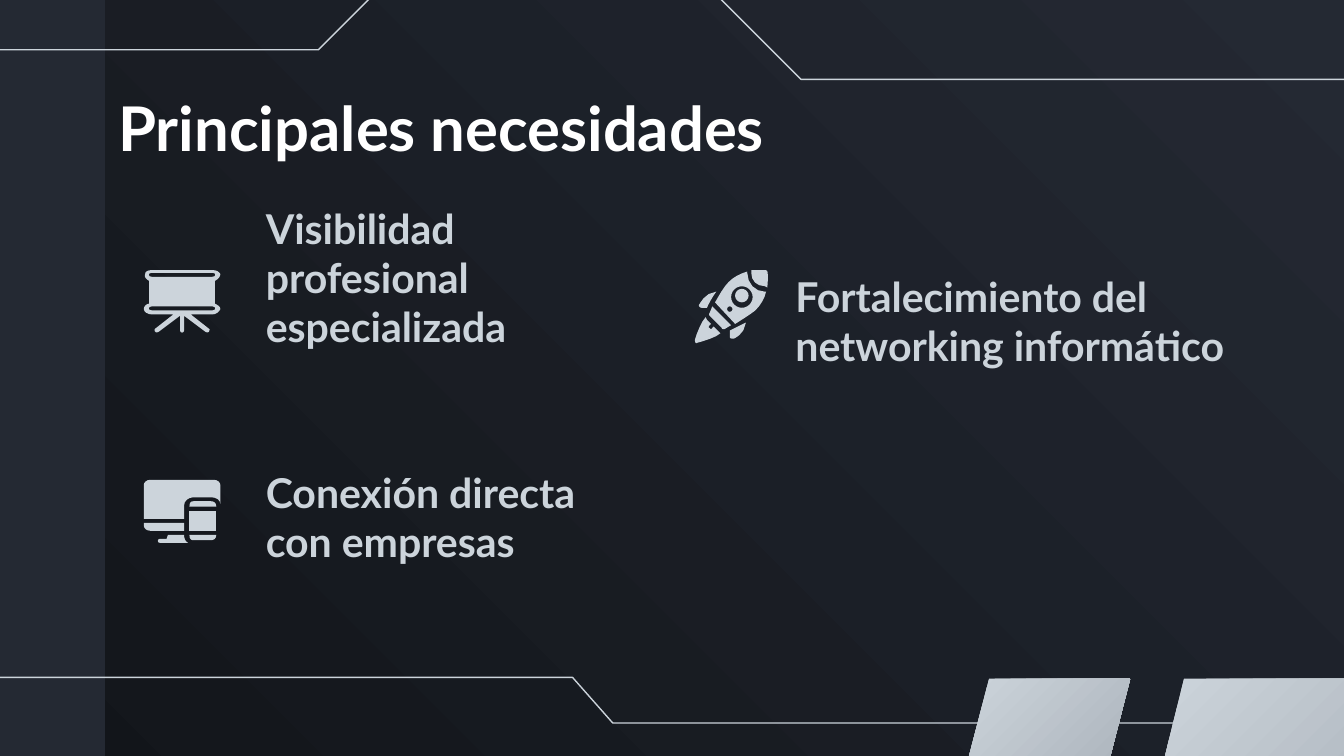
from math import cos, radians, sin

from pptx import Presentation
from pptx.dml.color import RGBColor
from pptx.enum import shapes, text
from pptx.util import Inches, Pt

SILVER, SLATE = "CCD4DB", "242933"


def color(value):
    return RGBColor.from_string(value)


def outline(parent, contours, closed=True):
    """Draw contours of (x, y) points; a six-value entry is a cubic curve."""
    builder = None
    for contour in contours:
        points = []
        for entry in contour:
            if len(entry) == 2:
                points.append(entry)
                continue
            x0, y0 = points[-1]
            x1, y1, x2, y2, x3, y3 = entry
            for t in (0.25, 0.5, 0.75, 1):
                a, b, c, d = (1 - t) ** 3, 3 * t * (1 - t) ** 2, 3 * t * t * (1 - t), t ** 3
                points.append((a * x0 + b * x1 + c * x2 + d * x3,
                               a * y0 + b * y1 + c * y2 + d * y3))
        points = [(Inches(x), Inches(y)) for x, y in points]
        if builder is None:
            builder = parent.build_freeform(*points[0], scale=1.0)
        else:
            builder.move_to(*points[0])
        builder.add_line_segments(points[1:], close=closed)
    shape = builder.convert_to_shape()
    shape.shadow.inherit = False
    if closed:
        shape.fill.solid()
        shape.fill.fore_color.rgb = color(SILVER)
        shape.line.fill.background()
    else:
        shape.fill.background()
        shape.line.color.rgb = color(SILVER)
        shape.line.width = Pt(0.75)
    return shape


# Widescreen slide, 16:9
presentation = Presentation()
presentation.slide_width = Inches(10)
presentation.slide_height = Inches(10) * 9 // 16
slide = presentation.slides.add_slide(presentation.slide_layouts[5])

# Background gradient, dark at the lower left
background = slide.background.fill
background.gradient()
background.gradient_angle = 45
for stop, value in zip(background.gradient_stops, ("12151A", SLATE)):
    stop.color.rgb = color(value)

# Side band
band = slide.shapes.add_shape(
    shapes.MSO_SHAPE.RECTANGLE, 0, 0, Inches(0.78), presentation.slide_height)
band.shadow.inherit = False
band.fill.solid()
band.fill.fore_color.rgb = color(SLATE)
band.line.fill.background()

# Circuit lines along the top and bottom
for points in (
    [(-0.04, 0.37), (2.37, 0.37), (2.8, -0.06), (5.31, -0.06), (5.96, 0.59), (10.13, 0.59)],
    [(-0.25, 5.04), (4.26, 5.04), (4.56, 5.38), (10.42, 5.38)],
):
    outline(slide.shapes, [points], closed=False)

# Slanted blocks at the lower right
for points in (
    [(7.36, 5.05), (7.17, 5.78), (8.22, 5.79), (8.41, 5.05)],
    [(8.81, 5.05), (8.63, 5.78), (10.84, 5.77), (10.84, 5.05)],
):
    block = outline(slide.shapes, [points])
    block.fill.gradient()
    block.fill.gradient_angle = 315
    for stop, value in zip(block.fill.gradient_stops, (SILVER, "ABB3BB")):
        stop.color.rgb = color(value)

# Title and the three needs
title = slide.shapes.title
title.left, title.top, title.width, title.height = map(Inches, (0.78, 0.57, 8.44, 0.63))
labels = [(title, "Principales necesidades", 33, "FFFFFF", text.MSO_ANCHOR.TOP)]
for left, top, width, wording in (
    (1.88, 2.26, 2.84, "Visibilidad profesional especializada"),
    (5.82, 2.4, 3.79, "Fortalecimiento del networking informático"),
    (1.88, 3.86, 2.84, "Conexión directa con empresas"),
):
    box = slide.shapes.add_textbox(*map(Inches, (left, top, width, 0.45)))
    labels.append((box, wording, 22, SILVER, text.MSO_ANCHOR.BOTTOM))

for shape, wording, size, value, anchor in labels:
    frame = shape.text_frame
    frame.word_wrap = True
    frame.auto_size = text.MSO_AUTO_SIZE.NONE
    frame.vertical_anchor = anchor
    frame.margin_left = frame.margin_right = Inches(0.1)
    frame.margin_top = frame.margin_bottom = Inches(0.1)
    paragraph = frame.paragraphs[0]
    paragraph.alignment = text.PP_ALIGN.LEFT
    run = paragraph.add_run()
    run.text = wording
    run.font.name, run.font.size, run.font.bold = "Lato", Pt(size), True
    run.font.color.rgb = color(value)

# Presentation screen icon: outline with a slot in each rail
slots = [
    [(1.13, y), (1.58, y), (1.61, y, 1.61, y + 0.03, 1.58, y + 0.03),
     (1.13, y + 0.03), (1.1, y + 0.03, 1.1, y, 1.13, y)]
    for y in (2.03, 2.28)
]
screen = [
    (1.13, 2.01), (1.1, 2.01, 1.08, 2.02, 1.08, 2.04), (1.07, 2.06, 1.09, 2.08, 1.11, 2.09),
    (1.11, 2.26), (1.09, 2.26, 1.07, 2.28, 1.07, 2.3), (1.07, 2.32, 1.1, 2.34, 1.13, 2.34),
    (1.29, 2.34), (1.15, 2.45), (1.15, 2.47, 1.16, 2.48, 1.18, 2.47),
    (1.34, 2.35), (1.34, 2.46), (1.34, 2.48, 1.37, 2.48, 1.37, 2.46), (1.37, 2.35),
    (1.53, 2.47), (1.55, 2.48, 1.56, 2.47, 1.56, 2.45), (1.42, 2.34),
    (1.58, 2.34), (1.61, 2.34, 1.63, 2.32, 1.64, 2.3), (1.64, 2.28, 1.62, 2.27, 1.6, 2.26),
    (1.6, 2.09), (1.62, 2.08, 1.64, 2.06, 1.64, 2.04), (1.63, 2.02, 1.61, 2.01, 1.58, 2.01),
]
outline(slide.shapes, [screen] + slots)

# Rocket icon: the window ring and rivet are round holes in the hull
window, ring, rivet = [
    [(x + r * cos(radians(a)), y + r * sin(radians(a))) for a in range(0, 360, 15)]
    for x, y, r in ((5.52, 2.2, 0.05), (5.52, 2.21, 0.08), (5.43, 2.3, 0.02))
]
hull = [(5.56, 2.02), (5.5, 2.04, 5.46, 2.06, 5.42, 2.1), (5.38, 2.14, 5.35, 2.2, 5.32, 2.25),
        (5.47, 2.41), (5.52, 2.38, 5.58, 2.34, 5.62, 2.31), (5.66, 2.27, 5.69, 2.22, 5.7, 2.17),
        (5.69, 2.17), (5.62, 2.17, 5.56, 2.11, 5.56, 2.03)]
nose = [(5.67, 2.01), (5.64, 2.01, 5.61, 2.01, 5.59, 2.01), (5.59, 2.03),
        (5.59, 2.09, 5.63, 2.13, 5.69, 2.13), (5.71, 2.14),
        (5.71, 2.1, 5.72, 2.07, 5.71, 2.02), (5.71, 2.01, 5.69, 2.01, 5.67, 2.01)]
collar = [(5.3, 2.28), (5.28, 2.33), (5.27, 2.34, 5.28, 2.35, 5.28, 2.35), (5.37, 2.44),
          (5.37, 2.45, 5.38, 2.45, 5.39, 2.45), (5.44, 2.42)]
right_fin = [(5.55, 2.4), (5.51, 2.42, 5.47, 2.44, 5.43, 2.46), (5.43, 2.51),
             (5.43, 2.52, 5.45, 2.52, 5.46, 2.52), (5.46, 2.52, 5.54, 2.49, 5.55, 2.4)]
left_fin = [(5.33, 2.17), (5.24, 2.18, 5.21, 2.26, 5.2, 2.27),
            (5.2, 2.28, 5.21, 2.29, 5.22, 2.29), (5.26, 2.29), (5.28, 2.25, 5.3, 2.21, 5.33, 2.17)]
flame = [(5.25, 2.36), (5.22, 2.39, 5.18, 2.49, 5.17, 2.53),
         (5.17, 2.55, 5.18, 2.56, 5.19, 2.55), (5.23, 2.54, 5.33, 2.51, 5.36, 2.48),
         (5.35, 2.47), (5.31, 2.43), (5.3, 2.44), (5.3, 2.45, 5.28, 2.45, 5.28, 2.44),
         (5.27, 2.44, 5.27, 2.43, 5.28, 2.42), (5.29, 2.41), (5.26, 2.38)]
rocket = [[hull, ring, rivet], [window], [nose], [collar], [right_fin], [left_fin], [flame]]

# Monitor and phone icon
stand = [(1.25, 3.98), (1.24, 4.01), (1.19, 4.01), (1.17, 4.01, 1.17, 4.04, 1.19, 4.04),
         (1.4, 4.04), (1.38, 4.03, 1.37, 4.01, 1.37, 3.98)]
chin = [(1.07, 3.89), (1.07, 3.91), (1.07, 3.93, 1.09, 3.95, 1.12, 3.95), (1.37, 3.95), (1.37, 3.89)]
monitor = [(1.12, 3.57), (1.09, 3.57, 1.07, 3.59, 1.07, 3.61), (1.07, 3.86), (1.37, 3.86),
           (1.37, 3.76), (1.37, 3.73, 1.4, 3.7, 1.44, 3.7), (1.57, 3.7),
           (1.61, 3.7, 1.64, 3.72, 1.64, 3.75), (1.64, 3.61), (1.64, 3.59, 1.62, 3.57, 1.59, 3.57)]
phone_screen = [(1.41, 3.8), (1.41, 3.95), (1.61, 3.95), (1.61, 3.8)]
phone_top = [(1.44, 3.73), (1.42, 3.73, 1.41, 3.74, 1.41, 3.77), (1.61, 3.77),
             (1.61, 3.74, 1.59, 3.73, 1.57, 3.73)]
phone_base = [(1.41, 3.98), (1.41, 4.01, 1.42, 4.02, 1.44, 4.02), (1.57, 4.02),
              (1.59, 4.02, 1.61, 4.01, 1.61, 3.98)]
devices = [[part] for part in (stand, chin, monitor, phone_screen, phone_top, phone_base)]

for icon in (rocket, devices):
    group = slide.shapes.add_group_shape()
    for contours in icon:
        outline(group.shapes, contours)

presentation.save("out.pptx")
